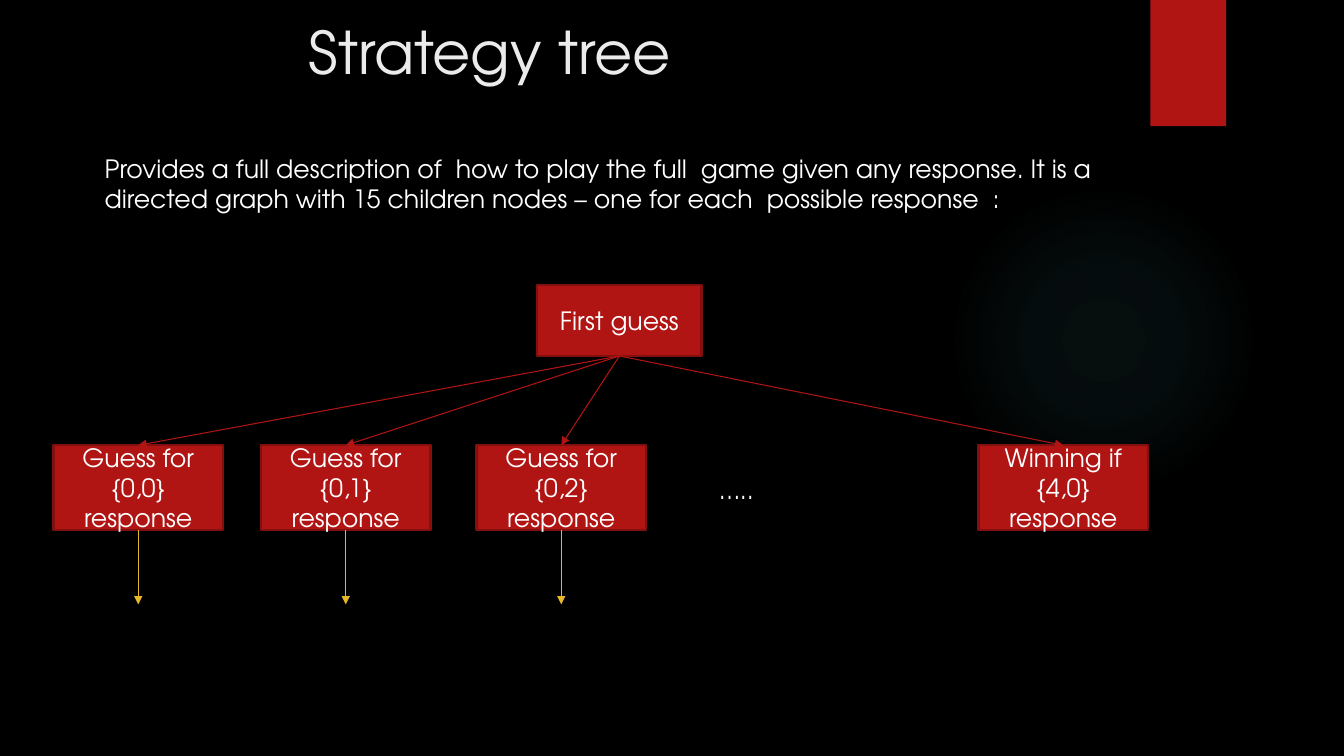
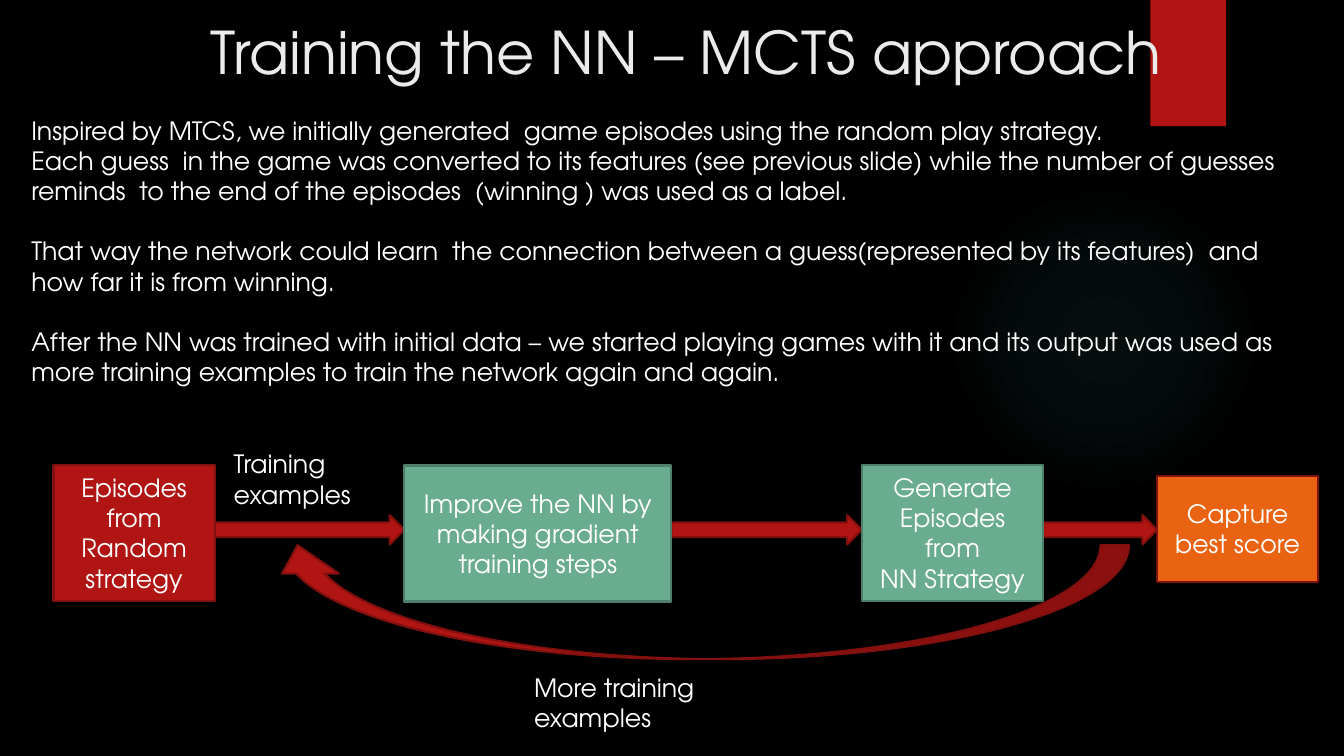
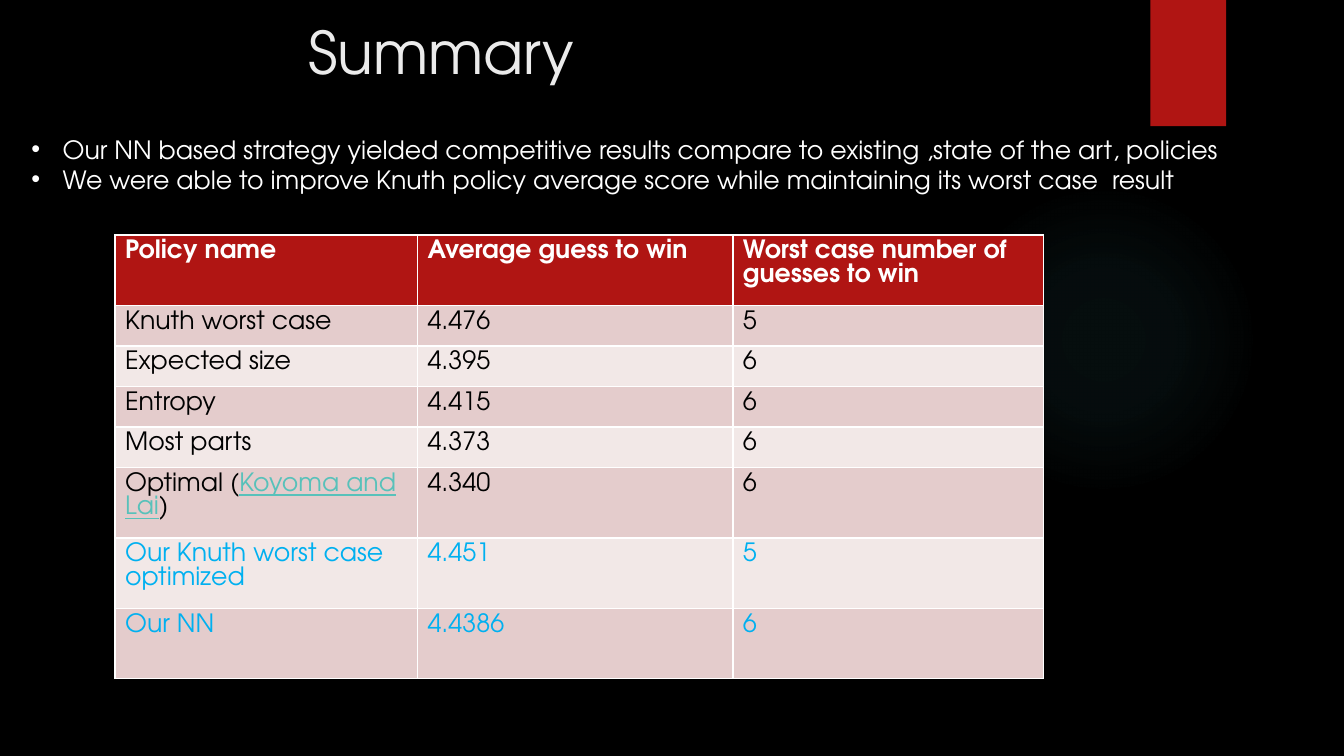
from dataclasses import dataclass

from lxml.etree import SubElement
from pptx import Presentation
from pptx.dml.color import RGBColor
from pptx.enum.shapes import MSO_CONNECTOR, MSO_SHAPE
from pptx.enum.text import MSO_ANCHOR, MSO_AUTO_SIZE, PP_ALIGN
from pptx.oxml import parse_xml
from pptx.oxml.ns import nsdecls, qn
from pptx.util import Cm, Pt


@dataclass(frozen=True)
class Theme:
    back: str = "000000"
    title: str = "EBEBEB"
    white: str = "FFFFFF"
    black: str = "000000"
    red: str = "B01513"
    edge: str = "82100E"
    green: str = "6AAC90"
    moss: str = "4E7F6B"
    orange: str = "EA6312"
    gold: str = "E6B729"
    glow: str = "50B9C1"
    link: str = "58C1BA"
    ours: str = "00B0F0"
    bands: tuple = ("E4CCCC", "F2E8E7")
    font: str = "TeX Gyre Adventor"
    head: float = 42
    body: float = 18


LOOK = Theme()

# Boxes are (left, top, width, height) in centimetres.
GLOW = (23.9, 4.65, 7.82, 7.82)
BAND = (28.99, 0, 1.91, 3.18)
STOPS = [(0, 7), (36, 6), (69, 0)]  # position %, opacity %

TREE = {
    "title": ("Strategy tree", 7.51),
    "intro": ["Provides a full description of  how to play the full  game given any response. "
              "It is a directed graph with 15 children nodes – one for each  possible response  :"],
    "root": ("First guess", (13.54, 7.19, 4.14, 1.78)),
    "nodes": [  # left, text, has an arrow below
        (1.35, ["Guess for", "{0,0} response"], True),
        (6.58, ["Guess for", "{0,1} response"], True),
        (12.01, ["Guess for", "{0,2} response"], True),
        (24.66, ["Winning if", "{4,0} response"], False),
    ],
    "dots": ("…..", (17.88, 11.84, 7.75, 1.02)),
}

TRAIN = {
    "title": ("Training the NN – MCTS approach", 5.05),
    "intro": [  # paragraph, space before in points
        ("Inspired by MTCS, we initially generated  game episodes using the random play strategy.", 0),
        ("Each guess  in the game was converted to its features (see previous slide) while the number "
         "of guesses reminds  to the end of the episodes  (winning ) was used as a label.", 0),
        ("That way the network could learn  the connection between a guess(represented by its features)  "
         "and how far it is from winning.", 21.5),
        ("After the NN was trained with initial data – we started playing games with it and its output "
         "was used as more training examples to train the network again and again.", 21.5),
    ],
    "steps": [
        (["Episodes from Random strategy"], (1.35, 11.71, 4.06, 3.43), LOOK.red, LOOK.edge),
        (["Improve the NN by making gradient training steps"], (10.19, 11.73, 6.73, 3.43),
         LOOK.green, LOOK.moss),
        (["Generate Episodes from", "NN Strategy"], (21.72, 11.71, 4.57, 3.43), LOOK.green, LOOK.moss),
        (["Capture best score"], (29.16, 11.99, 4.06, 2.67), LOOK.orange, LOOK.edge),
    ],
    "notes": [
        ("Training examples", (5.64, 11.18, 4.57, 1.8)),
        ("More training examples", (13.21, 16.81, 6.15, 1.8)),
    ],
    "loop": (16.18, 4.34, 2.87, 21.67),
}

SUM = {
    "title": ("Summary", 7.51),
    "points": [
        "Our NN based strategy yielded competitive results compare to existing ,state of the art, policies",
        "We were able to improve Knuth policy average score while maintaining its worst case  result",
    ],
    "cols": (7.62, 7.95, 7.82),
    "head": ("Policy name", "Average guess to win", "Worst case number of guesses to win"),
    "rows": [  # cells, height, colour
        (("Knuth worst case", "4.476", "5"), 1.02, LOOK.black),
        (("Expected size", "4.395", "6"), 1.02, LOOK.black),
        (("Entropy", "4.415", "6"), 1.02, LOOK.black),
        (("Most parts", "4.373", "6"), 1.02, LOOK.black),
        ((("Optimal (", "Koyoma and Lai", ")"), "4.340", "6"), 1.76, LOOK.black),
        (("Our Knuth worst case optimized", "4.451", "5"), 1.76, LOOK.ours),
        (("Our NN", "4.4386", "6"), 1.76, LOOK.ours),
    ],
}


def rgb(code):
    return RGBColor.from_string(code)


def assign(item, form):
    for key, value in form.items():
        setattr(item, key, value)


def add_run(para, text, color=LOOK.white, **form):
    run = para.add_run()
    run.text = text
    assign(run.font, {"name": LOOK.font, "size": Pt(LOOK.body), **form})
    run.font.color.rgb = rgb(color)


def write(frame, lines, **form):
    """Put one paragraph per line into the frame and return the paragraphs."""
    frame.word_wrap = True
    paras = []
    for line in lines:
        para = frame.add_paragraph() if paras else frame.paragraphs[0]
        assign(para, form)
        add_run(para, line)
        paras.append(para)
    return paras


def add_text(slide, lines, box):
    area = slide.shapes.add_textbox(*map(Cm, box))
    return write(area.text_frame, lines)


def add_shape(slide, kind, box, fill=LOOK.red, edge=LOOK.edge, lines=()):
    shape = slide.shapes.add_shape(kind, *map(Cm, box))
    shape.shadow.inherit = False
    shape.fill.solid()
    shape.fill.fore_color.rgb = rgb(fill)
    if edge:
        shape.line.color.rgb = rgb(edge)
        shape.line.width = Pt(1.5)
    else:
        shape.line.fill.background()
    if lines:
        shape.text_frame.vertical_anchor = MSO_ANCHOR.MIDDLE
        write(shape.text_frame, lines, alignment=PP_ALIGN.CENTER)
    return shape


def add_arrow(slide, start, color, end=None, drop=0):
    """Run from the bottom of start to the top of end, or straight down by drop."""
    x, y = start.left + start.width // 2, start.top + start.height
    link = slide.shapes.add_connector(MSO_CONNECTOR.STRAIGHT, x, y, x, y + Cm(drop))
    link.begin_connect(start, 2)
    if end is not None:
        link.end_connect(end, 0)
    link.line.color.rgb = rgb(color)
    link.line.width = Pt(0.75)
    SubElement(link.line._get_or_add_ln(), qn("a:tailEnd"), type="triangle")
    SubElement(link.element.spPr, qn("a:effectLst"))


def dress(deck, layout, slide):
    """Give the master its background and the layout its glow and band."""
    fill = deck.slide_master.background.fill
    fill.solid()
    fill.fore_color.rgb = rgb(LOOK.back)
    glow = add_shape(slide, MSO_SHAPE.OVAL, GLOW, edge=None)
    stops = "".join(
        f'<a:gs pos="{pos * 1000}"><a:srgbClr val="{LOOK.glow}">'
        f'<a:alpha val="{alpha * 1000}"/></a:srgbClr></a:gs>' for pos, alpha in STOPS)
    blend = parse_xml(
        f'<a:gradFill {nsdecls("a")}><a:gsLst>{stops}</a:gsLst><a:path path="circle">'
        '<a:fillToRect l="50000" t="50000" r="50000" b="50000"/></a:path></a:gradFill>')
    props = glow.element.spPr
    props.replace(props.find(qn("a:solidFill")), blend)
    band = add_shape(slide, MSO_SHAPE.RECTANGLE, BAND, edge=None)
    for shape in (glow, band):
        layout.shapes.element.append(shape.element)


def add_title(slide, text, left):
    title = slide.shapes.title
    assign(title, {"left": Cm(left), "top": Cm(0.27), "width": Cm(25), "height": Cm(4.65)})
    frame = title.text_frame
    assign(frame, {"vertical_anchor": MSO_ANCHOR.TOP, "auto_size": MSO_AUTO_SIZE.NONE,
                   "word_wrap": True})
    para = frame.paragraphs[0]
    para.alignment = PP_ALIGN.LEFT
    add_run(para, text, LOOK.title, size=Pt(LOOK.head))


def draw_tree(slide):
    add_text(slide, TREE["intro"], (2.39, 3.73, 26.44, 2))
    text, box = TREE["root"]
    root = add_shape(slide, MSO_SHAPE.RECTANGLE, box, lines=[text])
    for left, lines, more in TREE["nodes"]:
        node = add_shape(slide, MSO_SHAPE.RECTANGLE, (left, 11.22, 4.27, 2.13), lines=lines)
        add_arrow(slide, root, LOOK.red, end=node)
        if more:
            add_arrow(slide, node, LOOK.gold, drop=1.88)
    text, box = TREE["dots"]
    add_text(slide, [text], box)


def draw_train(slide):
    lines, gaps = zip(*TRAIN["intro"])
    for para, gap in zip(add_text(slide, lines, (0.54, 2.77, 32.33, 7.6)), gaps):
        para.space_before = Pt(gap)
    boxes = [step[1] for step in TRAIN["steps"]]
    for prev, after in zip(boxes, boxes[1:]):
        start = prev[0] + prev[2]
        add_shape(slide, MSO_SHAPE.RIGHT_ARROW, (start, 12.98, after[0] - start, 0.74))
    add_shape(slide, MSO_SHAPE.CURVED_LEFT_ARROW, TRAIN["loop"]).rotation = 90
    for lines, box, fill, edge in TRAIN["steps"]:
        add_shape(slide, MSO_SHAPE.RECTANGLE, box, fill, edge, lines)
    for text, box in TRAIN["notes"]:
        add_text(slide, [text], box)


def fill_cell(cell, text, fill, color, bold=False):
    """Fill a cell; a tuple of texts has its second part set as a link."""
    cell.fill.solid()
    cell.fill.fore_color.rgb = rgb(fill)
    para = cell.text_frame.paragraphs[0]
    for i, part in enumerate(text if isinstance(text, tuple) else (text,)):
        link = i == 1
        add_run(para, part, LOOK.link if link else color, bold=bold, underline=link)


def draw_sum(slide):
    for para in add_text(slide, SUM["points"], (0.54, 3.25, 32.23, 1.8)):
        props = para._p.get_or_add_pPr()
        props.set("marL", str(Cm(0.79)))
        props.set("indent", str(-Cm(0.79)))
        SubElement(props, qn("a:buFont"), typeface="Arial")
        SubElement(props, qn("a:buChar"), char="•")
    rows = [(SUM["head"], 1.41, LOOK.white), *SUM["rows"]]
    high = sum(row[1] for row in rows)
    box = (2.9, 5.92, sum(SUM["cols"]), high)
    table = slide.shapes.add_table(len(rows), len(SUM["cols"]), *map(Cm, box)).table
    for col, width in zip(table.columns, SUM["cols"]):
        col.width = Cm(width)
    for r, (cells, height, color) in enumerate(rows):
        table.rows[r].height = Cm(height)
        fill = LOOK.bands[(r - 1) % 2] if r else LOOK.red
        for c, text in enumerate(cells):
            fill_cell(table.cell(r, c), text, fill, color, bold=r == 0)


def main():
    deck = Presentation()
    assign(deck, {"slide_width": Cm(33.87), "slide_height": Cm(19.05)})
    layout = deck.slide_layouts.get_by_name("Title Only")
    for data, draw in ((TREE, draw_tree), (TRAIN, draw_train), (SUM, draw_sum)):
        slide = deck.slides.add_slide(layout)
        if len(deck.slides) == 1:
            dress(deck, layout, slide)
        add_title(slide, *data["title"])
        draw(slide)
    deck.save("out.pptx")


if __name__ == "__main__":
    main()
